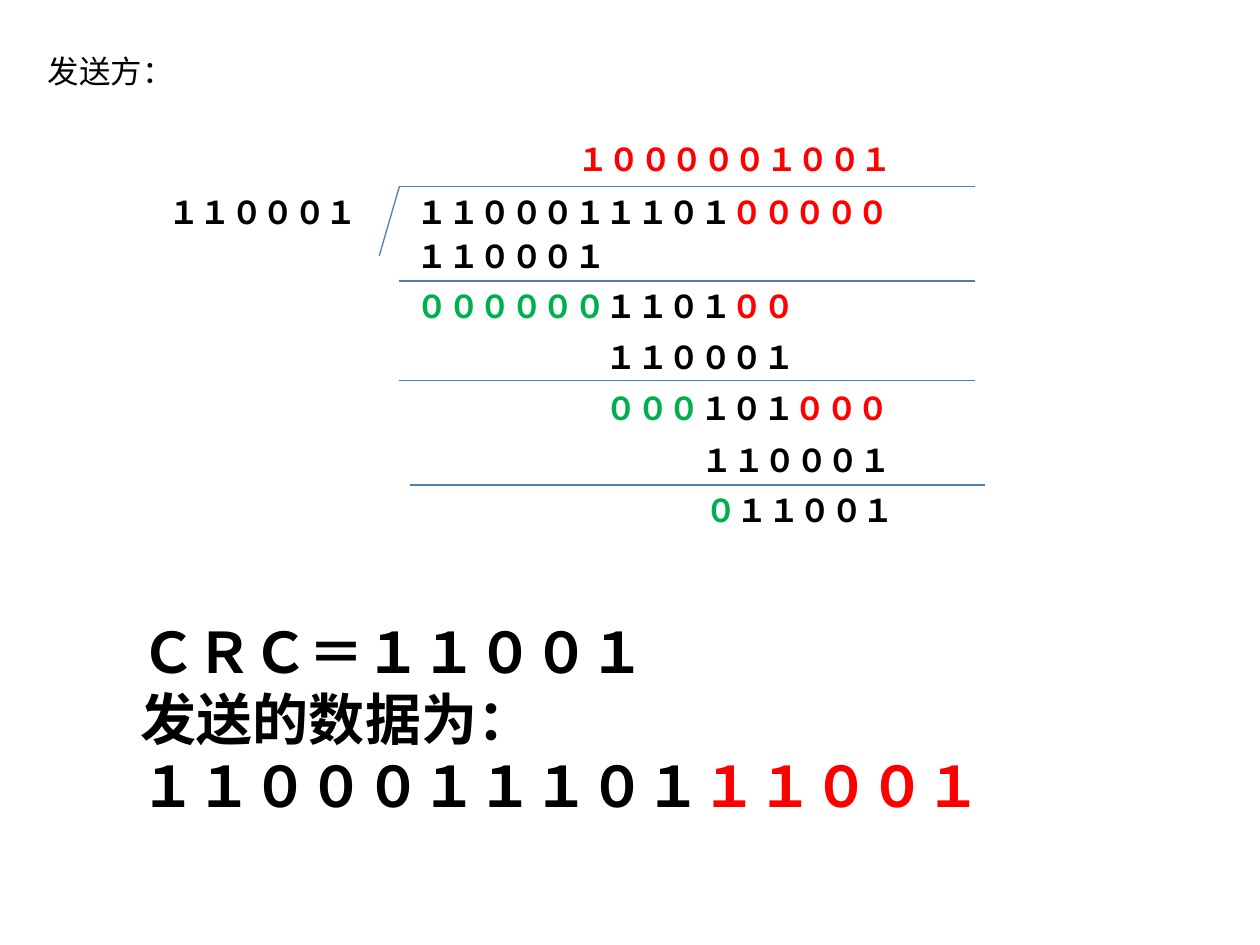
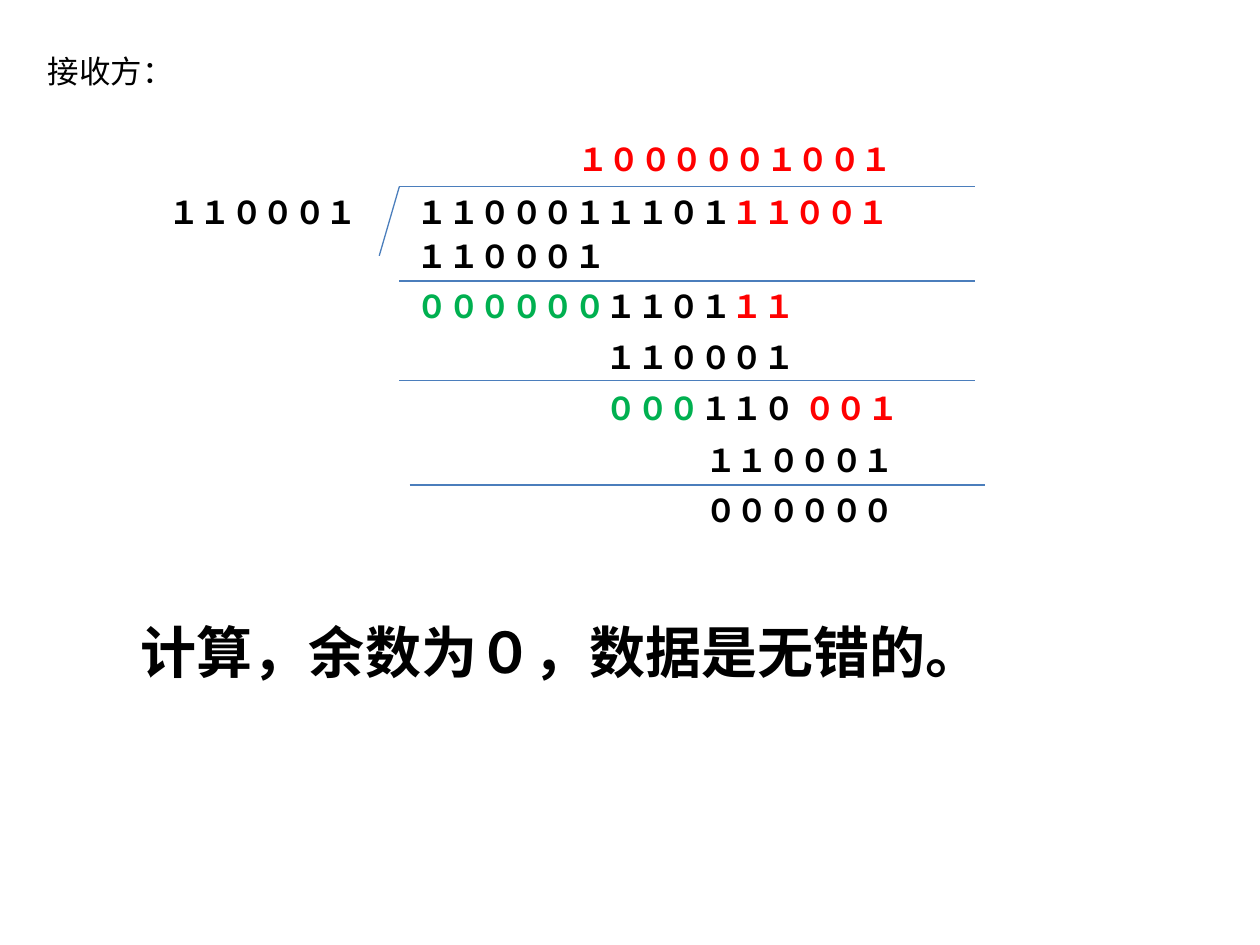
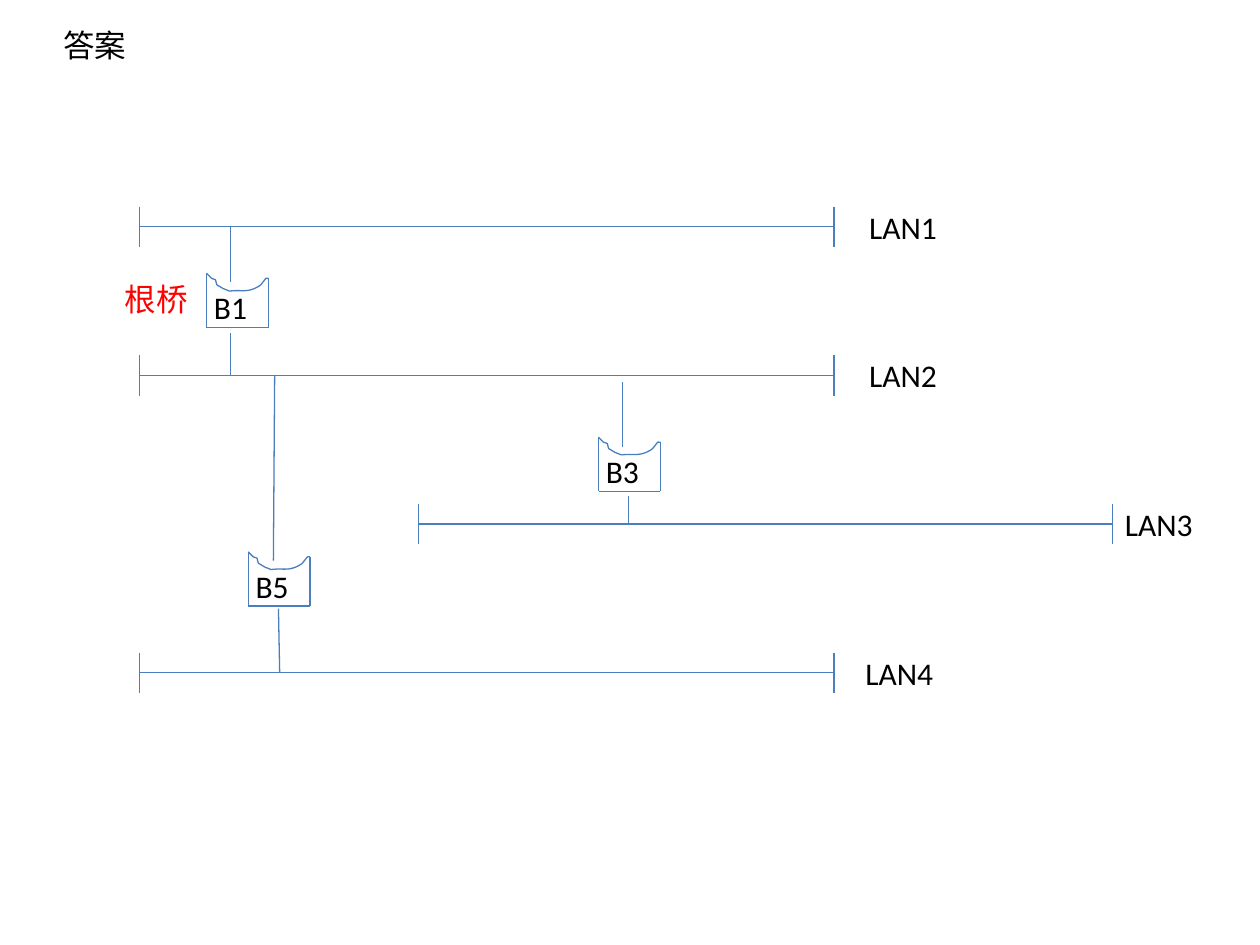
from pptx import Presentation
from pptx import util as u
from pptx.dml.color import RGBColor
from pptx.enum import shapes, text
from pptx.oxml.ns import qn
from lxml import etree

COLORS = {"ink": "000000", "red": "FF0000", "green": "00B050", "line": "4B7EBC"}
FONT = "Calibri"
SMALL, LARGE = 18, 32
TEXT_H = 0.4

# Long division grid: one column per digit, one row per number
DIGIT_W, FIRST_DIGIT = 0.25, 2.71
ROWS = [1.06, 1.48, 1.83, 2.23, 2.63, 3.04, 3.45, 3.85]
RULES = [(3.17, 1.48), (3.17, 2.23), (3.17, 3.02), (3.25, 3.85)]
RULE_W = 4.57

# LAN diagram
BUS_TOP, BUS_PITCH, BUS_W, TICK = 1.8, 1.18, 5.51, 0.16
BRIDGE_W, BRIDGE_H, BRIDGE_DIP = 0.49, 0.43, 0.04
LEFT_EDGE = [(0, 0), (0.04, 0.04), (0.07, 0.05), (0.08, 0.09), (0.13, 0.12), (0.18, 0.14)]
RIGHT_CURVES = [
    [(0.28, 0.13), (0.31, 0.15), (0.38, 0.12)],
    [(0.40, 0.11), (0.42, 0.10), (0.43, 0.09)],
    [(0.48, 0.03), (0.46, 0.04), (0.49, 0.04)],
]


def rgb(name):
    return RGBColor.from_string(COLORS[name])


def wide(digits):
    """Turn ASCII digits into their full-width forms."""
    return "".join(chr(ord(digit) + 0xFEE0) for digit in digits)


# Text
def fill_paragraph(paragraph, parts, size, bold):
    for words, color in parts:
        run = paragraph.add_run()
        run.text = words
        run.font.name, run.font.size, run.font.bold = FONT, u.Pt(size), bold
        run.font.color.rgb = rgb(color)


def add_text(slide, x, y, w, lines, h=TEXT_H, size=SMALL, bold=False, wrap=False, level=0):
    """Place a text box; each line is a list of (words, color) parts."""
    frame = slide.shapes.add_textbox(*map(u.Inches, (x, y, w, h))).text_frame
    frame.word_wrap = wrap
    frame.auto_size = text.MSO_AUTO_SIZE.SHAPE_TO_FIT_TEXT
    for i, parts in enumerate(lines):
        paragraph = frame.add_paragraph() if i else frame.paragraphs[0]
        paragraph.level = level
        fill_paragraph(paragraph, parts, size, bold)


def add_titled_slide(deck, words, x, y, w):
    slide = deck.slides.add_slide(deck.slide_layouts[5])
    title = slide.shapes.title
    title.left, title.top, title.width, title.height = map(u.Inches, (x, y, w, TEXT_H))
    frame = title.text_frame
    frame.word_wrap = False
    frame.auto_size = text.MSO_AUTO_SIZE.SHAPE_TO_FIT_TEXT
    frame.vertical_anchor = text.MSO_ANCHOR.TOP
    frame.paragraphs[0].alignment = text.PP_ALIGN.LEFT
    fill_paragraph(frame.paragraphs[0], [(words, "ink")], SMALL, False)
    return slide


# Lines
def style_line(line):
    line.color.rgb = rgb("line")
    line.width = u.Pt(0.75)


def add_line(parent, x1, y1, x2, y2):
    line = parent.shapes.add_connector(
        shapes.MSO_CONNECTOR.STRAIGHT, *map(u.Inches, (x1, y1, x2, y2)))
    style_line(line.line)
    etree.SubElement(line._element.spPr, qn("a:effectLst"))


# Long division
def add_division(slide, numbers):
    for column, row, w, parts in numbers:
        digits = [(wide(part), color) for part, color in parts]
        add_text(slide, FIRST_DIGIT + column * DIGIT_W, ROWS[row], w, [digits],
                 bold=True, wrap=True, level=1)
    for x, y in RULES:
        add_line(slide, x, y, x + RULE_W, y)
    x, y = RULES[0]
    add_line(slide, x, y, x - 0.16, y + 0.55)


def division_numbers(check, second, third, third_tail, last_divisor, remainder):
    """List the numbers as (column, row, width, parts)."""
    divisor = [("110001", "ink")]
    w = 2.28
    return [
        (5.1, 0, 5.2, [("1000001001", "red")]),
        (-7.9, 1, w, divisor),
        (0, 1, 5.67, [("1100011101", "ink"), (check, "red")]),
        (0, 2, w, divisor),
        (0, 3, w, [("000000", "green")]),
        (6, 3, w, [("1101", "ink"), (second, "red")]),
        (6, 4, w, divisor),
        (6, 5, w, [("000", "green"), (third, "ink")]),
        (third_tail[0], 5, w, [(third_tail[1], "red")]),
        (last_divisor, 6, w, divisor),
        (9.15, 7, w, remainder),
    ]


def add_conclusion(slide, lines, h):
    add_text(slide, 1.02, 4.85, 7.95, lines, h=h, size=LARGE, bold=True, wrap=True)


# LAN diagram
def add_bus(slide, x, y, label, label_x):
    add_line(slide, x, y, x + BUS_W, y)
    for end in (x, x + BUS_W):
        add_line(slide, end, y - TICK, end, y + TICK)
    add_text(slide, label_x, y - 0.2, 0.75, [[(label, "ink")]])


def bridge_outline():
    """Trace the torn upper edge, with each cubic curve in short steps."""
    points = list(LEFT_EDGE)
    for b, c, d in RIGHT_CURVES:
        a = points[-1]
        for t in (step / 6 for step in range(1, 7)):
            s = 1 - t
            points.append(tuple(
                s**3 * a[k] + 3 * s * s * t * b[k] + 3 * s * t * t * c[k] + t**3 * d[k]
                for k in (0, 1)))
    return points


def add_bridge(slide, x, y, label):
    bridge = slide.shapes.add_group_shape()
    points = [(u.Inches(x + dx), u.Inches(y + dy)) for dx, dy in bridge_outline()]
    builder = bridge.shapes.build_freeform(*points[0])
    builder.add_line_segments(points[1:], close=False)
    edge = builder.convert_to_shape()
    edge.fill.background()
    edge.shadow.inherit = False
    style_line(edge.line)
    right, bottom = x + BRIDGE_W, y + BRIDGE_H
    add_line(bridge, x, y, x, bottom)
    add_line(bridge, right, y + BRIDGE_DIP, right, bottom)
    add_line(bridge, right, bottom, x, bottom)
    add_text(slide, x - 0.04, y + 0.07, 0.47, [[(label, "ink")]])


# Slides
def build_sender(deck):
    slide = add_titled_slide(deck, "发送方：", 0.28, 0.36, 1.21)
    add_division(slide, division_numbers(
        "00000", "00", "101", (12, "000"), 9.05, [("0", "green"), ("11001", "ink")]))
    add_conclusion(slide, [
        [("ＣＲＣ＝１１００１", "ink")],
        [("发送的数据为：", "ink")],
        [(wide("1100011101"), "ink"), (wide("11001"), "red")],
    ], 2.26)


def build_receiver(deck):
    slide = add_titled_slide(deck, "接收方：", 0.28, 0.36, 1.21)
    add_division(slide, division_numbers(
        "11001", "11", "110", (12.3, "001"), 9.15, [("000000", "ink")]))
    add_conclusion(slide, [[("计算，余数为０，数据是无错的。", "ink")]], 0.64)


def build_answer(deck):
    slide = add_titled_slide(deck, "答案", 0.4, 0.16, 0.71)
    lans = [BUS_TOP + i * BUS_PITCH for i in range(4)]
    starts = [(1.11, 6.8), (1.11, 6.8), (3.32, 8.83), (1.11, 6.77)]
    for i, (y, (x, label_x)) in enumerate(zip(lans, starts), 1):
        add_bus(slide, x, y, f"LAN{i}", label_x)
    for x, y, label in [(1.64, 2.17, "B1"), (4.75, 3.47, "B3"), (1.97, 4.38, "B5")]:
        add_bridge(slide, x, y, label)
    links = [
        (1.83, 2.24, 1.83, lans[0]), (1.83, lans[1], 1.83, 2.64),
        (4.94, 3.55, 4.94, 3.03), (4.99, lans[2], 4.99, 3.94),
        (2.17, 4.45, 2.18, lans[1]), (2.22, lans[3], 2.21, 4.83),
    ]
    for link in links:
        add_line(slide, *link)
    add_text(slide, 0.89, 2.17, 0.71, [[("根桥", "red")]])


def main():
    deck = Presentation()
    deck.slide_width, deck.slide_height = u.Inches(10), u.Inches(7.5)
    build_sender(deck)
    build_receiver(deck)
    build_answer(deck)
    deck.save("out.pptx")


main()
